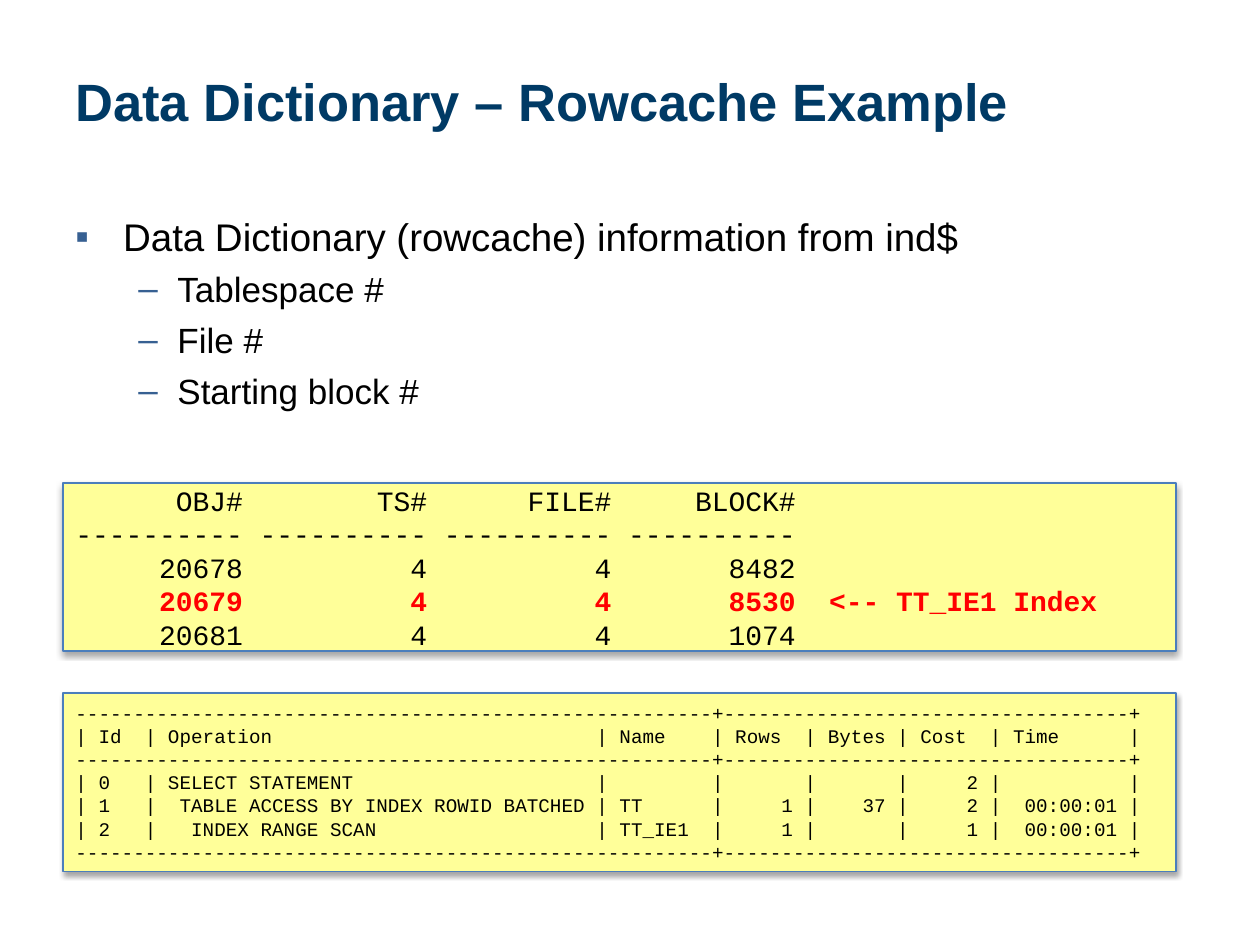
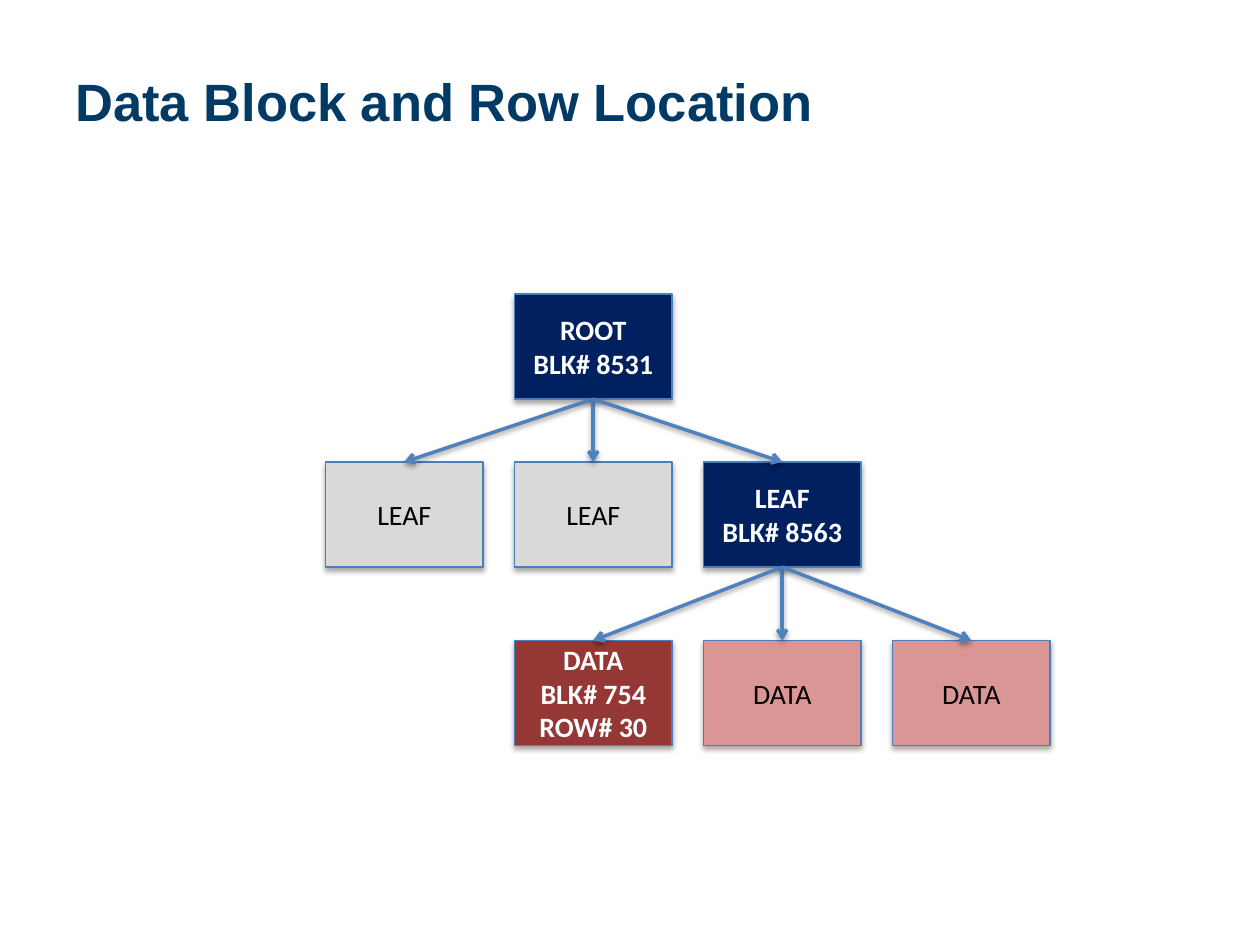
"""Two slides on locating an index and its rows in the data dictionary."""
from lxml import etree
from pptx import Presentation
from pptx import util as u
from pptx.dml.color import RGBColor
from pptx.enum import shapes, text
from pptx.oxml.ns import qn

GRID = u.Inches(1) / 12
SLIDE_COLUMNS, SLIDE_ROWS = 120, 90

WHITE = RGBColor(0xFF, 0xFF, 0xFF)
BLACK = RGBColor(0x00, 0x00, 0x00)
RED = RGBColor(0xFF, 0x00, 0x00)
TITLE_BLUE = RGBColor(0x00, 0x3A, 0x65)
BULLET_BLUE = RGBColor(0x37, 0x60, 0x92)
BORDER_BLUE = RGBColor(0x4B, 0x7E, 0xBC)
ARROW_BLUE = RGBColor(0x4F, 0x81, 0xBD)
CODE_YELLOW = RGBColor(0xFF, 0xFF, 0x99)
NAVY = RGBColor(0x00, 0x20, 0x60)
GREY = RGBColor(0xD9, 0xD9, 0xD9)
DARK_RED = RGBColor(0x95, 0x37, 0x35)
PINK = RGBColor(0xD9, 0x96, 0x94)

TITLE_FONT = dict(name="Arial", size=u.Pt(30), bold=True, color=TITLE_BLUE)
TITLE_BOX = (6, 3.6, 108, 11.9)
BODY_BOX = (6, 19.7, 108, 24)
ROWCACHE_BOX = (6, 46, 106, 16)
PLAN_BOX = (6, 66, 106, 17)
TREE_BOX = (31, 28, 69, 43)

LEVELS = [
    dict(bullet="▪", size=22, left=0.38, hang=0.38),
    dict(bullet="–", size=20, left=0.81, hang=0.31),
]
TOPICS = [
    (0, "Data Dictionary (rowcache) information from ind$"),
    (1, "Tablespace #"),
    (1, "File #"),
    (1, "Starting block #"),
]
ROWCACHE = [
    "      OBJ#        TS#      FILE#     BLOCK#",
    "---------- ---------- ---------- ----------",
    "     20678          4          4       8482",
    "     20679          4          4       8530  <-- TT_IE1 Index",
    "     20681          4          4       1074",
]
PLAN_RULE = "-" * 55 + "+" + "-" * 35 + "+"
PLAN = [
    PLAN_RULE,
    "| Id  | Operation                            | Name    | Rows  | Bytes | Cost  | Time      |",
    PLAN_RULE,
    "| 0   | SELECT STATEMENT                     |         |       |       |     2 |           |",
    "| 1   |  TABLE ACCESS BY INDEX ROWID BATCHED | TT      |     1 |    37 |     2 |  00:00:01 |",
    "| 2   |   INDEX RANGE SCAN                   | TT_IE1  |     1 |       |     1 |  00:00:01 |",
    PLAN_RULE,
]

BLOCK_WIDTH, BLOCK_HEIGHT, BLOCK_PITCH = 15, 10, 18
TIER_TOPS = [0, 16, 33]
BLOCKS = {
    "root": (1, 0, NAVY, ["ROOT", "BLK# 8531"]),
    "left leaf": (0, 1, GREY, ["LEAF"]),
    "middle leaf": (1, 1, GREY, ["LEAF"]),
    "found leaf": (2, 1, NAVY, ["LEAF", "BLK# 8563"]),
    "found data": (1, 2, DARK_RED, ["DATA", "BLK# 754", "ROW# 30"]),
    "middle data": (2, 2, PINK, ["DATA"]),
    "right data": (3, 2, PINK, ["DATA"]),
}
BRANCHES = {
    "root": ["left leaf", "middle leaf", "found leaf"],
    "found leaf": ["found data", "middle data", "right data"],
}


def to_grid(box):
    """Turn columns and rows into slide lengths."""
    return [u.Emu(round(cells * GRID)) for cells in box]


def apply(target, values):
    """Set every attribute named in the dict of values."""
    for key, value in values.items():
        if key == "color":
            target.color.rgb = value
        else:
            setattr(target, key, value)


def add_node(parent, tag, **attributes):
    """Append an XML element with the given attributes."""
    return etree.SubElement(parent, qn(tag), {k: str(v) for k, v in attributes.items()})


def cast_shadow(effects, blur, distance, opacity):
    """Add a soft black shadow that falls straight down."""
    shadow = add_node(effects, "a:outerShdw", blurRad=u.Pt(blur), dist=u.Pt(distance),
                      dir=90 * 60000, rotWithShape=0)
    add_node(add_node(shadow, "a:srgbClr", val=BLACK), "a:alpha", val=opacity * 1000)


def write_lines(frame, lines, font, align=text.PP_ALIGN.LEFT):
    """Write one paragraph per line and return the paragraphs."""
    for index, line in enumerate(lines):
        paragraph = frame.paragraphs[0] if index == 0 else frame.add_paragraph()
        paragraph.alignment = align
        run = paragraph.add_run()
        run.text = line
        apply(run.font, font)
    return frame.paragraphs


def add_panel(slide, box, fill):
    """Add a bordered rectangle with a shadow."""
    panel = slide.shapes.add_shape(shapes.MSO_SHAPE.RECTANGLE, *to_grid(box))
    panel.fill.solid()
    panel.fill.fore_color.rgb = fill
    apply(panel.line, dict(color=BORDER_BLUE, width=u.Pt(0.75)))
    panel.shadow.inherit = False
    cast_shadow(panel.element.spPr.find(qn("a:effectLst")), 3.1, 1.8, 35)
    apply(panel.text_frame, dict(word_wrap=True, vertical_anchor=text.MSO_ANCHOR.MIDDLE))
    return panel


def add_titled_slide(deck, title):
    """Add a blank slide with the shared title style."""
    slide = deck.slides.add_slide(deck.slide_layouts[6])
    frame = slide.shapes.add_textbox(*to_grid(TITLE_BOX)).text_frame
    apply(frame, dict(word_wrap=True, vertical_anchor=text.MSO_ANCHOR.MIDDLE))
    write_lines(frame, [title], TITLE_FONT)
    return slide


def add_topics(slide, box, topics):
    """Add the two-level bullet list."""
    frame = slide.shapes.add_textbox(*to_grid(box)).text_frame
    frame.word_wrap = True
    for index, (depth, topic) in enumerate(topics):
        level = LEVELS[depth]
        paragraph = frame.paragraphs[0] if index == 0 else frame.add_paragraph()
        properties = paragraph._p.get_or_add_pPr()
        properties.set("marL", str(u.Inches(level["left"])))
        properties.set("indent", str(-u.Inches(level["hang"])))
        add_node(add_node(properties, "a:buClr"), "a:srgbClr", val=BULLET_BLUE)
        add_node(properties, "a:buFont", typeface="Arial")
        add_node(properties, "a:buChar", char=level["bullet"])
        apply(paragraph, dict(level=depth, space_before=u.Pt(5 if index else 0)))
        run = paragraph.add_run()
        run.text = topic
        apply(run.font, dict(name="Arial", size=u.Pt(level["size"]), color=BLACK))


def add_listing(slide, box, lines, size, marked=None):
    """Add a yellow panel of code, with one line marked in red if asked."""
    frame = add_panel(slide, box, CODE_YELLOW).text_frame
    font = dict(name="Courier New", size=u.Pt(size), color=BLACK)
    paragraphs = write_lines(frame, lines, font)
    if marked is not None:
        apply(paragraphs[marked].runs[0].font, dict(color=RED, bold=True))


def add_branch(slide, parent, child):
    """Join the bottom of a parent block to the top of a child."""
    branch = slide.shapes.add_connector(shapes.MSO_CONNECTOR.STRAIGHT, 0, 0, 0, 0)
    branch.begin_connect(parent, 2)
    branch.end_connect(child, 0)
    apply(branch.line, dict(color=ARROW_BLUE, width=u.Pt(2)))
    add_node(branch.line._get_or_add_ln(), "a:tailEnd", type="arrow")
    cast_shadow(add_node(branch._element.spPr, "a:effectLst"), 3.1, 1.6, 38)


def add_block_tree(slide, box):
    """Draw the index tree from the root block to the data blocks."""
    left, top = box[:2]
    placed = {}
    for block, (column, tier, fill, lines) in BLOCKS.items():
        cell = (left + column * BLOCK_PITCH, top + TIER_TOPS[tier], BLOCK_WIDTH, BLOCK_HEIGHT)
        placed[block] = add_panel(slide, cell, fill)
        frame = placed[block].text_frame
        apply(frame, dict(margin_left=0, margin_right=0))
        found = fill in (NAVY, DARK_RED)
        font = dict(name="Calibri", size=u.Pt(16), bold=found, color=WHITE if found else BLACK)
        write_lines(frame, lines, font, text.PP_ALIGN.CENTER)
    for parent, children in BRANCHES.items():
        for child in children:
            add_branch(slide, placed[parent], placed[child])


def main():
    """Build both slides and save the deck."""
    deck = Presentation()
    deck.slide_width, deck.slide_height = to_grid((SLIDE_COLUMNS, SLIDE_ROWS))

    rowcache = add_titled_slide(deck, "Data Dictionary – Rowcache Example")
    add_topics(rowcache, BODY_BOX, TOPICS)
    add_listing(rowcache, ROWCACHE_BOX, ROWCACHE, 16, marked=3)
    add_listing(rowcache, PLAN_BOX, PLAN, 11)

    location = add_titled_slide(deck, "Data Block and Row Location")
    add_block_tree(location, TREE_BOX)

    deck.save("out.pptx")


if __name__ == "__main__":
    main()
